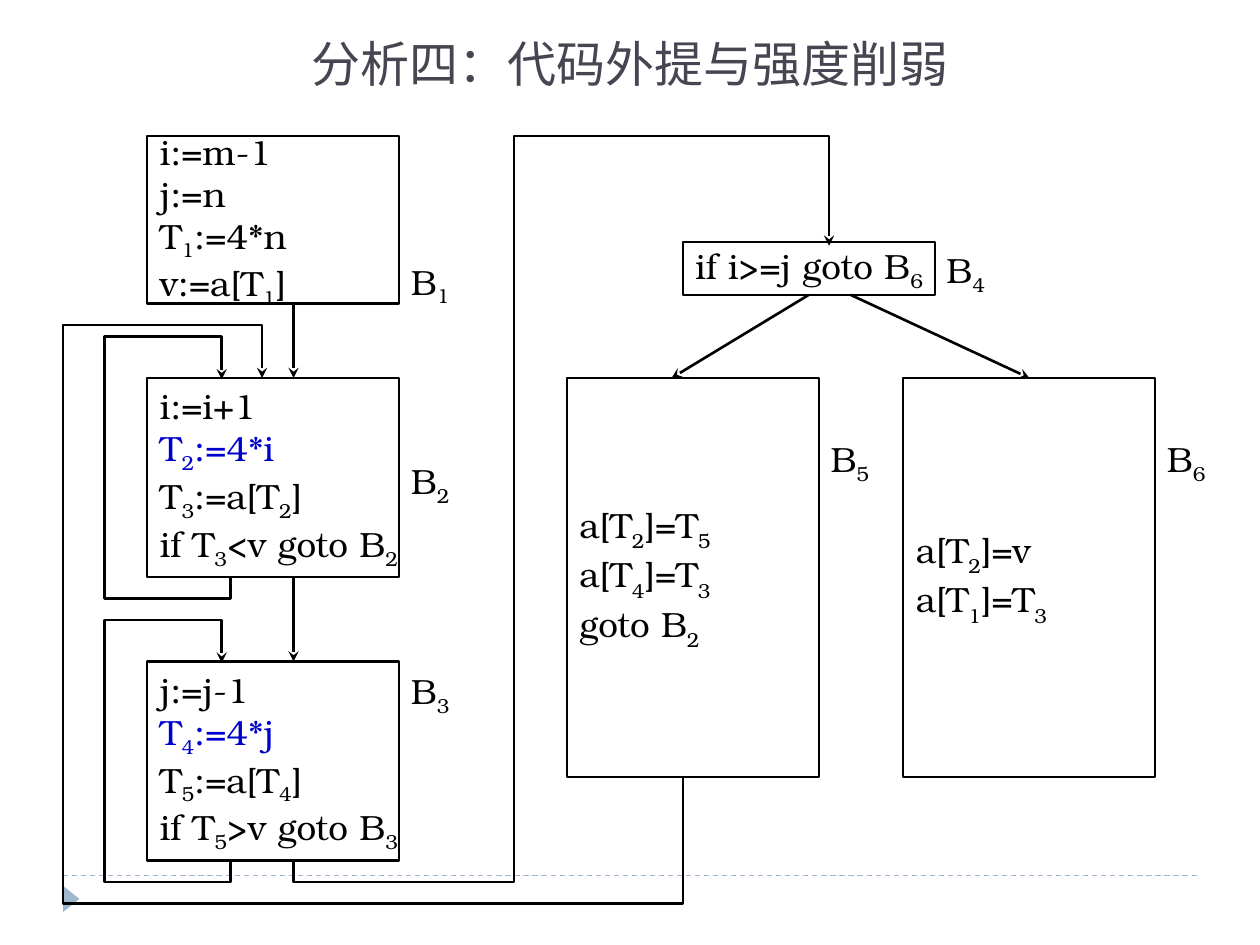
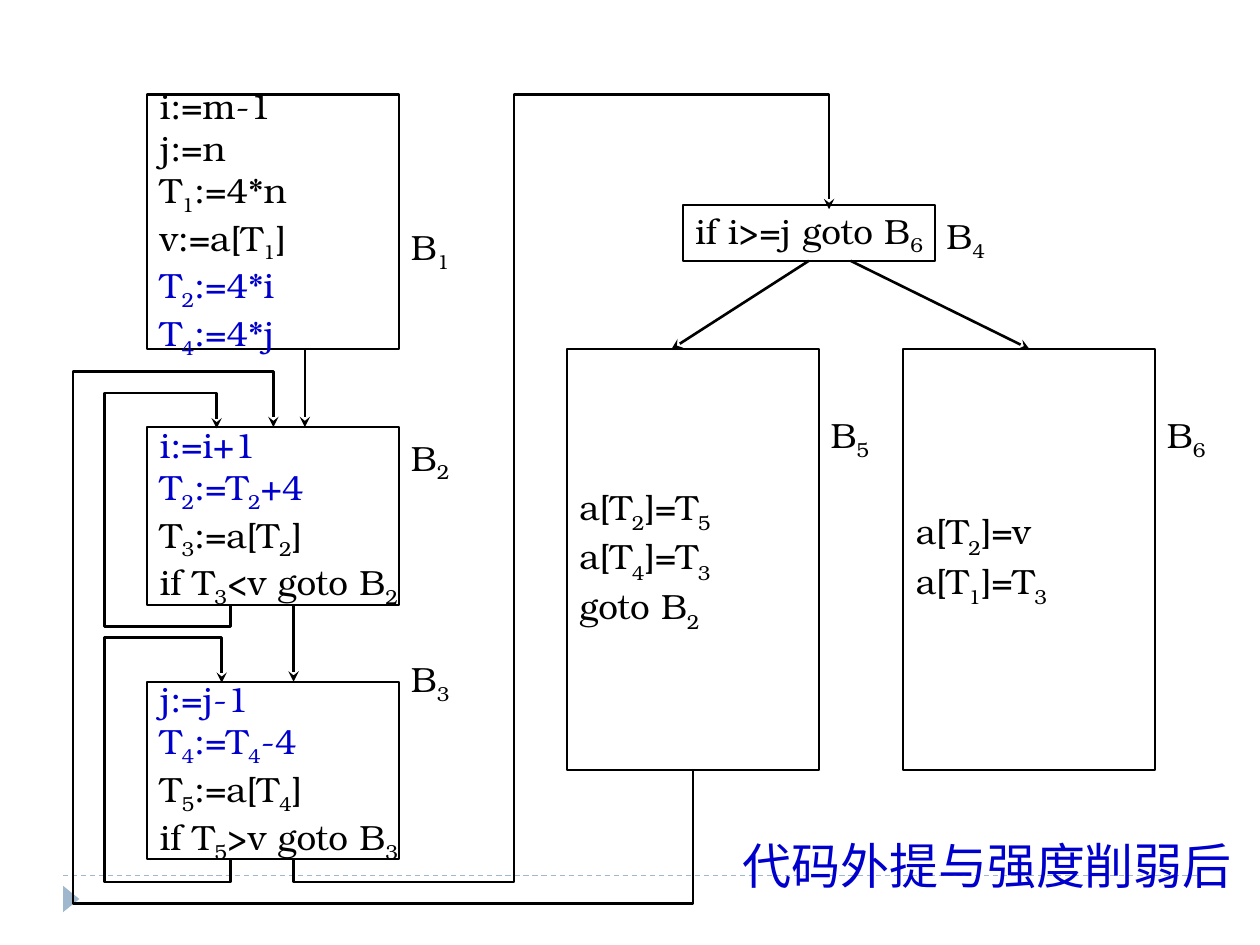
"""Two flow graphs of code blocks, before and after code motion and strength reduction."""
from pptx import Presentation
from pptx.dml.color import RGBColor
from pptx.enum.dml import MSO_LINE
from pptx.enum.shapes import MSO_CONNECTOR, MSO_SHAPE
from pptx.enum.text import MSO_ANCHOR, PP_ALIGN
from pptx.oxml.ns import qn
from pptx.util import Inches, Pt
from lxml import etree

BLACK = RGBColor(0x00, 0x00, 0x00)
BLUE = RGBColor(0x00, 0x00, 0xCC)
SLATE = RGBColor(0x46, 0x46, 0x53)
BAND = RGBColor(0x9F, 0xB8, 0xCD)
FONT = "TeX Gyre Bonum"
RECT, ARROW = MSO_SHAPE.RECTANGLE, MSO_SHAPE.ISOSCELES_TRIANGLE
STRAIGHT, DASH = MSO_CONNECTOR.STRAIGHT, MSO_LINE.DASH
LEFT, CENTER = PP_ALIGN.LEFT, PP_ALIGN.CENTER
MIDDLE, TOP = MSO_ANCHOR.MIDDLE, MSO_ANCHOR.TOP

WIDE = 2
COLS = [1.17, 1.17, 1.17, 5.42, 4.5, 7.17]
TEST = ["if i>=j goto B_6"]
SWAP = ["a[T_2]=T_5", "a[T_4]=T_3", "goto B_2"]
LAST = ["a[T_2]=v", "a[T_1]=T_3"]
INIT = ["i:=m-1", "j:=n", "T_1:=4*n", "v:=a[T_1]"]
UP = ["T_3:=a[T_2]", "if T_3<v goto B_2"]
DOWN = ["T_5:=a[T_4]", "if T_5>v goto B_3"]

PAGES = [
    dict(
        head=("分析四：代码外提与强度削弱", 0.33, 0.25, 9.34, 0.5, SLATE, MIDDLE),
        tops=[1.08, 3, 5.25, 1.92, 3, 3],
        highs=[1.33, 1.58, 1.58, 0.42, 3.17, 3.17],
        tags=[1.92, 3.5, 5.17, 1.83, 3.33, 3.33], tall=0.67,
        code=[INIT, ["i:=i+1", "!T_2:=4*i"] + UP, ["j:=j-1", "!T_4:=4*j"] + DOWN,
              TEST, SWAP, LAST],
        drop=2.33, loops=[(1, 4.75, 2.67, 1.76), (2, 7, 4.92, 1.76)],
        back=(5.42, 0.5, 2.58, 2.08)),
    dict(
        head=("代码外提与强度削弱后", 5.75, 6.58, 4.17, 0.57, BLUE, TOP),
        tops=[0.75, 3.39, 5.41, 1.63, 2.77, 2.77],
        highs=[2.02, 1.41, 1.41, 0.44, 3.34, 3.34],
        tags=[1.63, 3.3, 5.06, 1.54, 3.12, 3.12], tall=0.7,
        code=[INIT + ["!T_2:=4*i", "!T_4:=4*j"], ["!i:=i+1", "!T_2:=T_2+4"] + UP,
              ["!j:=j-1", "!T_4:=T_4-4"] + DOWN, TEST, SWAP, LAST],
        drop=2.42, loops=[(1, 4.97, 3.12, 1.72), (2, 7, 5.06, 1.76)],
        back=(5.5, 0.58, 2.95, 2.17)),
]


def write(shape, lines, align, drop=-25000):
    """Fill a shape with lines; _ lowers the next letter and ! turns a line blue."""
    frame = shape.text_frame
    frame.word_wrap = False
    frame.vertical_anchor = MIDDLE
    for n, line in enumerate(lines):
        para = frame.paragraphs[0] if n == 0 else frame.add_paragraph()
        para.alignment = align
        para.font.name = FONT
        para.font.size = Pt(20)
        para.font.color.rgb = BLUE if line.startswith("!") else BLACK
        first, *rest = line.lstrip("!").split("_")
        para.add_run().text = first
        for part in rest:
            low = para.add_run()
            low.text = part[0]
            low.font._element.set("baseline", str(drop))
            if part[1:]:
                para.add_run().text = part[1:]


def wire(shapes, *spots, color=BLACK, width=1.5, tip=True):
    """Draw a line through the spots, with an arrowhead at its end."""
    pts = [(Inches(x), Inches(y)) for x, y in spots]
    if len(pts) == 2:
        path = shapes.add_connector(STRAIGHT, *pts[0], *pts[1])
        etree.SubElement(path._element.spPr, qn("a:effectLst"))
    else:
        pen = shapes.build_freeform(*pts[0], scale=1.0)
        pen.add_line_segments(pts[1:], close=False)
        path = pen.convert_to_shape()
        path.shadow.inherit = False
        path.fill.background()
    path.line.color.rgb = color
    path.line.width = Pt(width)
    if tip:
        etree.SubElement(path.line._get_or_add_ln(), qn("a:tailEnd"), type="stealth")
    return path


deck = Presentation()
deck.slide_width, deck.slide_height = Inches(10), Inches(7.5)

for page in PAGES:
    shapes = deck.slides.add_slide(deck.slide_layouts[6]).shapes
    rule = wire(shapes, (0.5, 6.95), (9.5, 6.95), color=BAND, width=0.75, tip=False)
    rule.line.dash_style = DASH
    mark = shapes.add_shape(ARROW, Inches(0.46), Inches(7.07), Inches(0.21), Inches(0.13))
    mark.rotation = 90
    mark.shadow.inherit = False
    mark.fill.solid()
    mark.fill.fore_color.rgb = BAND
    mark.line.fill.background()

    text, x, y, w, h, color, anchor = page["head"]
    head = shapes.add_textbox(Inches(x), Inches(y), Inches(w), Inches(h))
    head.text_frame.word_wrap = True
    head.text_frame.vertical_anchor = anchor
    para = head.text_frame.paragraphs[0]
    para.text = text
    para.alignment = CENTER
    para.font.name = FONT
    para.font.size = Pt(28)
    para.font.color.rgb = color

    tops = page["tops"]
    ends = [y + h for y, h in zip(tops, page["highs"])]
    rows = zip(COLS, tops, page["highs"], page["tags"], page["code"])
    for n, (x, y, h, tag, code) in enumerate(rows, 1):
        box = shapes.add_shape(RECT, Inches(x), Inches(y), Inches(WIDE), Inches(h))
        box.shadow.inherit = False
        box.fill.background()
        box.line.color.rgb = BLACK
        box.line.width = Pt(1.25)
        write(box, code, LEFT, -30000 if n > 4 else -25000)
        name = shapes.add_textbox(Inches(x + WIDE - 0.09), Inches(tag),
                                  Inches(0.67), Inches(page["tall"]))
        write(name, [f"B_{n}"], CENTER)

    drop = page["drop"]
    wire(shapes, (drop, ends[0]), (drop, tops[1]))
    wire(shapes, (2.33, ends[1]), (2.33, tops[2]))
    wire(shapes, (2.33, ends[2]), (2.33, 7), (4.08, 7), (4.08, tops[0]),
         (6.58, tops[0]), (6.58, tops[3] + 0.03))
    for n, base, roof, tip in page["loops"]:
        wire(shapes, (1.83, ends[n]), (1.83, base), (0.83, base), (0.83, roof),
             (tip, roof), (tip, tops[n] + 0.01))
    wire(shapes, (6.42, ends[3]), (5.33, tops[4]))
    wire(shapes, (6.75, ends[3]), (8.17, tops[5]))
    start, side, roof, tip = page["back"]
    wire(shapes, (start, ends[4]), (start, 7.17), (side, 7.17), (side, roof),
         (tip, roof), (tip, tops[1]))

deck.save("out.pptx")
